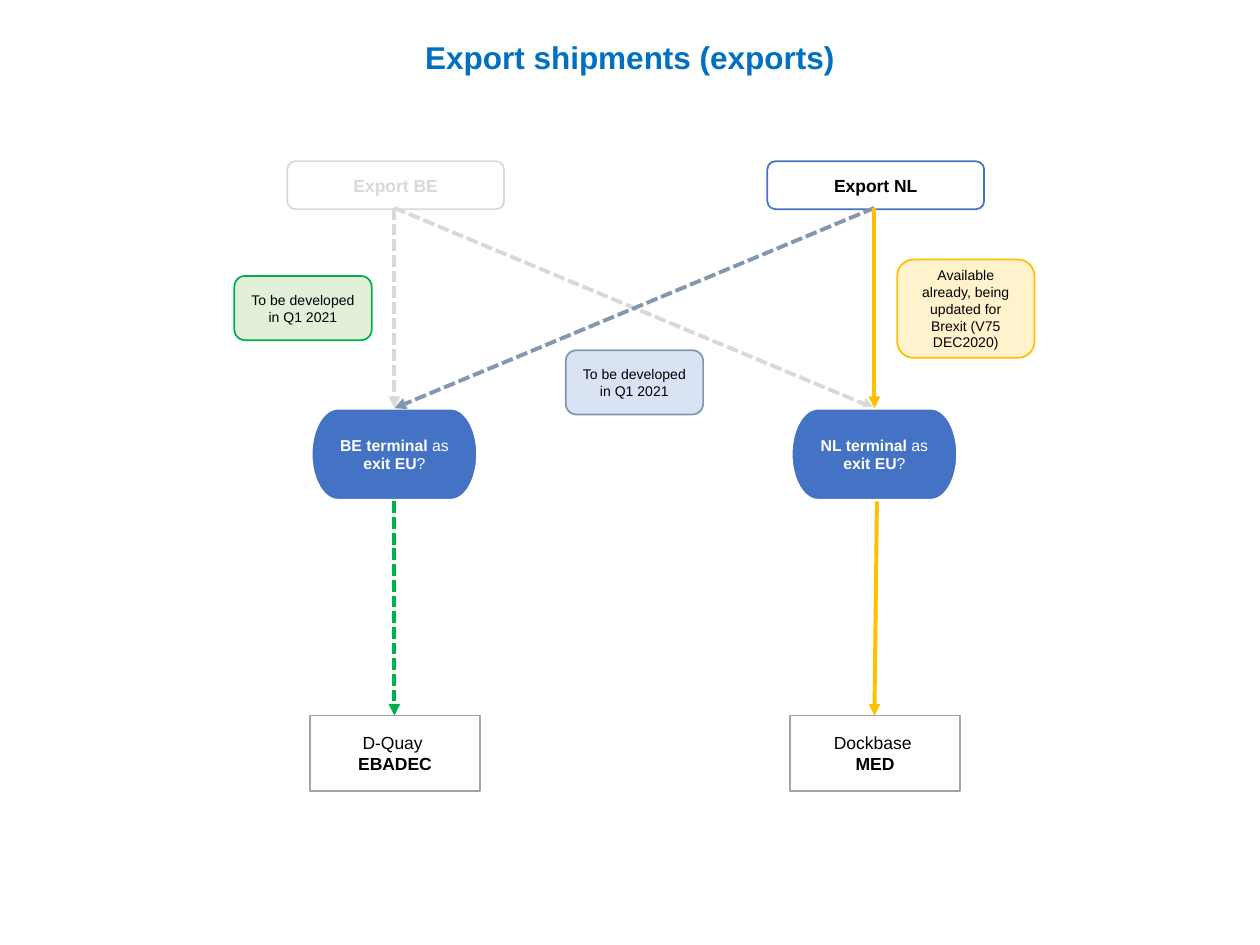
from lxml import etree
from pptx import Presentation
from pptx.dml.color import RGBColor
from pptx.enum.dml import MSO_LINE
from pptx.enum.shapes import MSO_CONNECTOR, MSO_SHAPE
from pptx.enum.text import MSO_ANCHOR, MSO_AUTO_SIZE, PP_ALIGN
from pptx.oxml.ns import qn
from pptx.util import Inches, Pt

COLORS = {
    "title": "0070C0", "black": "000000", "white": "FFFFFF",
    "blue": "4472C4", "gray": "A5A5A5", "faded": "D9D9D9",
    "green": "00B050", "pale_green": "E2F0D9",
    "yellow": "FFC000", "pale_yellow": "FFF2CC",
    "slate": "8497B0", "pale_slate": "DAE3F3",
}

# Flow geometry: one column per country
BE_X, NL_X = 3.13, 6.94
EXPORT_Y, EXPORT_BOTTOM = 1.28, 1.65
TERMINAL_Y, TERMINAL_BOTTOM = 3.24, 3.98
SYSTEM_Y = 5.68


def rgb(name):
    return RGBColor.from_string(COLORS[name])


def write_text(tf, paragraphs, size, color):
    """Each paragraph is a list of (text, bold) runs."""
    for i, runs in enumerate(paragraphs):
        p = tf.paragraphs[0] if i == 0 else tf.add_paragraph()
        p.alignment = PP_ALIGN.CENTER
        for text, bold in runs:
            r = p.add_run()
            r.text = text
            style = {"name": "Arial", "size": Pt(size), "bold": bold}
            for key, value in style.items():
                setattr(r.font, key, value)
            r.font.color.rgb = rgb(color)


def add_title(slide, text):
    sp = slide.shapes.title
    box = {"left": 3.26, "top": 0.25, "width": 3.48, "height": 0.4}
    for key, value in box.items():
        setattr(sp, key, Inches(value))
    tf = sp.text_frame
    frame = {"word_wrap": False, "auto_size": MSO_AUTO_SIZE.SHAPE_TO_FIT_TEXT,
             "vertical_anchor": MSO_ANCHOR.TOP}
    for key, value in frame.items():
        setattr(tf, key, value)
    write_text(tf, [[(text, True)]], 18, "title")


def add_box(slide, kind, box, paragraphs, size, fill, line,
            color="black", weight=1):
    sp = slide.shapes.add_shape(kind, *[Inches(v) for v in box])
    sp.shadow.inherit = False
    if fill:
        sp.fill.solid()
        sp.fill.fore_color.rgb = rgb(fill)
    else:
        sp.fill.background()
    sp.line.color.rgb = rgb(line)
    sp.line.width = Pt(weight)
    tf = sp.text_frame
    tf.word_wrap = True
    tf.vertical_anchor = MSO_ANCHOR.MIDDLE
    write_text(tf, paragraphs, size, color)


def add_export(slide, x, text, fill, line, color):
    add_box(slide, MSO_SHAPE.ROUNDED_RECTANGLE,
            (x - 0.85, EXPORT_Y, 1.72, 0.38), [[(text, True)]], 10,
            fill, line, color)


def add_terminal(slide, x, paragraphs):
    add_box(slide, MSO_SHAPE.FLOWCHART_TERMINATOR,
            (x - 0.66, TERMINAL_Y, 1.32, 0.73), paragraphs, 9,
            "blue", "white", "white", 1.5)


def add_system(slide, x, name, message):
    add_box(slide, MSO_SHAPE.RECTANGLE, (x - 0.67, SYSTEM_Y, 1.35, 0.6),
            [[(name, False)], [(message, True)]], 10, "white", "gray")


def add_note(slide, x, y, height, text, fill, line):
    add_box(slide, MSO_SHAPE.ROUNDED_RECTANGLE, (x, y, 1.09, height),
            [[(text, False)]], 8, fill, line)


def add_arrow(slide, start, end, color, dashed=True):
    cx = slide.shapes.add_connector(
        MSO_CONNECTOR.STRAIGHT, *[Inches(v) for v in start + end])
    cx.line.color.rgb = rgb(color)
    cx.line.width = Pt(2.25)
    if dashed:
        cx.line.dash_style = MSO_LINE.SQUARE_DOT
    ln = cx.line._get_or_add_ln()
    etree.SubElement(ln, qn("a:tailEnd"), type="triangle")
    etree.SubElement(cx._element.spPr, qn("a:effectLst"))


def main():
    prs = Presentation()
    prs.slide_width, prs.slide_height = Inches(10), Inches(7.5)
    slide = prs.slides.add_slide(prs.slide_layouts[5])
    add_title(slide, "Export shipments (exports)")

    # Export origins and the Belgian routes
    be_export, nl_export = (BE_X, EXPORT_BOTTOM), (NL_X, EXPORT_BOTTOM)
    be_terminal, nl_terminal = (BE_X, TERMINAL_Y), (NL_X, TERMINAL_Y)
    add_export(slide, BE_X, "Export BE", None, "faded", "faded")
    add_arrow(slide, be_export, be_terminal, "faded")
    add_arrow(slide, be_export, nl_terminal, "faded")
    add_export(slide, NL_X, "Export NL", "white", "blue", "black")

    # Terminals
    add_terminal(slide, NL_X, [[("NL terminal ", True), ("as ", False),
                                ("exit EU", True), ("?", False)]])
    add_terminal(slide, BE_X, [[("BE terminal ", True), ("as", False)],
                               [("exit EU", True), ("?", False)]])

    # Port systems
    add_system(slide, BE_X, "D-Quay ", "EBADEC")
    add_system(slide, NL_X, "Dockbase ", "MED")

    # Dutch routes and the links to the port systems
    add_arrow(slide, (BE_X, TERMINAL_BOTTOM), (BE_X, SYSTEM_Y), "green")
    add_arrow(slide, nl_export, be_terminal, "slate")
    add_arrow(slide, nl_export, nl_terminal, "yellow", dashed=False)
    add_arrow(slide, (6.96, TERMINAL_BOTTOM), (NL_X, SYSTEM_Y), "yellow",
              dashed=False)

    # Status notes
    planned = "To be developed in Q1 2021"
    add_note(slide, 7.12, 2.06, 0.78,
             "Available already, being updated for Brexit (V75 DEC2020)",
             "pale_yellow", "yellow")
    add_note(slide, 1.86, 2.19, 0.51, planned, "pale_green", "green")
    add_note(slide, 4.49, 2.78, 0.51, planned, "pale_slate", "slate")

    prs.save("out.pptx")


main()
